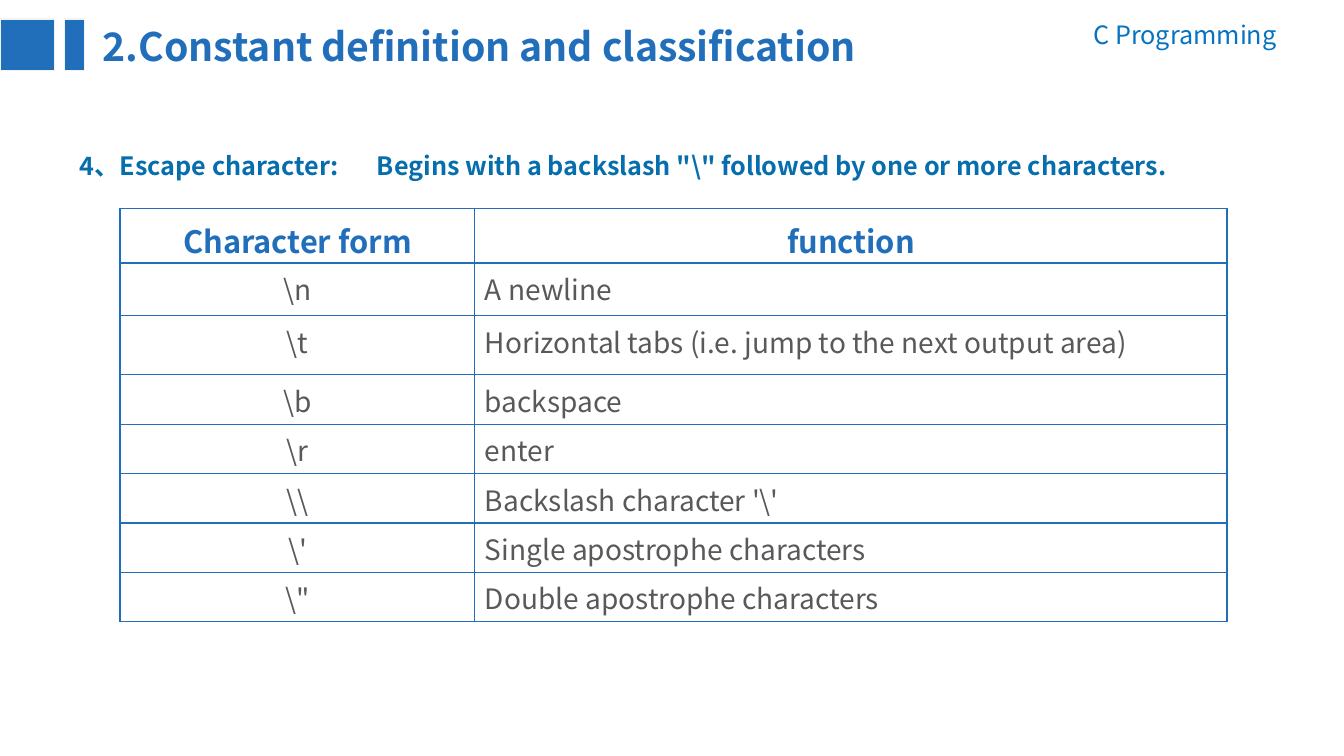
from lxml import etree
from pptx import Presentation
from pptx import util as u
from pptx.dml.color import RGBColor
from pptx.enum import shapes, text
from pptx.oxml.ns import qn

FONT = "Noto Sans CJK SC"
BLUE = RGBColor(0x21, 0x6F, 0xBA)
COURSE_BLUE = RGBColor(0x05, 0x73, 0xC2)
INTRO_BLUE = RGBColor(0x07, 0x6E, 0xAD)
GREY = RGBColor(0x59, 0x59, 0x59)
PALE = RGBColor(0xF2, 0xF2, 0xF2)
LEFT, CENTER, RIGHT = text.PP_ALIGN.LEFT, text.PP_ALIGN.CENTER, text.PP_ALIGN.RIGHT

# wording, (left, top, width, height), size, colour, bold, alignment, line spacing
LABELS = [
    ("C Programming", (9.76, 0.14, 3, 0.4), 18, COURSE_BLUE, False, RIGHT, 1),
    ("2.Constant definition and classification", (0.92, 0.17, 8.81, 0.57),
     28, BLUE, True, LEFT, 1),
    ("4、Escape character:", (0.69, 1.38, 4.02, 0.46), 18, INTRO_BLUE, True, LEFT, 1.2),
    ('Begins with a backslash "\\" followed by one or more characters.',
     (3.64, 1.44, 8.82, 0.4), 18, INTRO_BLUE, True, LEFT, 1),
]
TITLE_BARS = [(0, 0.54), (0.64, 0.2)]  # left, width
HEADER = ("Character form", "function")
ESCAPES = [
    (r"\n", "A newline"),
    (r"\t", "Horizontal tabs (i.e. jump to the next output area)"),
    (r"\b", "backspace"),
    (r"\r", "enter"),
    (r"\\", r"Backslash character '\'"),
    (r"\'", "Single apostrophe characters"),
    (r'\"', "Double apostrophe characters"),
]
COLUMN_WIDTHS = [3.52, 7.46]
ROW_HEIGHTS = [0.54, 0.52, 0.59] + [0.49] * 5


def write(frame, wording, size, color, bold, align, spacing=1):
    """Put one formatted run in the first paragraph of a text frame."""
    paragraph = frame.paragraphs[0]
    paragraph.alignment = align
    if spacing != 1:
        paragraph.line_spacing = spacing
    run = paragraph.add_run()
    run.text = wording
    run.font.size, run.font.bold, run.font.name = u.Pt(size), bold, FONT
    run.font.color.rgb = color
    east_asian = etree.Element(qn("a:ea"), typeface=FONT)
    run.font._element.find(qn("a:latin")).addnext(east_asian)


def outline(cell):
    """Give a cell no fill and a thin blue border on all sides."""
    cell.fill.background()
    properties = cell._tc.get_or_add_tcPr()
    for place, side in enumerate(("lnL", "lnR", "lnT", "lnB")):
        line = etree.Element(qn(f"a:{side}"), w=str(u.Pt(1)))
        fill = etree.SubElement(line, qn("a:solidFill"))
        etree.SubElement(fill, qn("a:srgbClr"), val=str(BLUE))
        properties.insert(place, line)


deck = Presentation()
deck.slide_width, deck.slide_height = u.Inches(13.33), u.Inches(7.5)
slide = deck.slides.add_slide(deck.slide_layouts[6])

for wording, box, *style in LABELS:
    label = slide.shapes.add_textbox(*map(u.Inches, box)).text_frame
    label.word_wrap = True
    label.auto_size = text.MSO_AUTO_SIZE.SHAPE_TO_FIT_TEXT
    write(label, wording, *style)

for left, width in TITLE_BARS:
    bar = slide.shapes.add_shape(shapes.MSO_SHAPE.RECTANGLE,
                                 *map(u.Inches, (left, 0.19, width, 0.51)))
    bar.shadow.inherit = False
    bar.fill.solid()
    bar.fill.fore_color.rgb = BLUE
    bar.line.color.rgb = PALE
    bar.line.width = u.Pt(1)

escape_table = slide.shapes.add_table(
    len(ROW_HEIGHTS), len(COLUMN_WIDTHS),
    *map(u.Inches, (1.19, 2.07, sum(COLUMN_WIDTHS), sum(ROW_HEIGHTS)))).table
escape_table.first_row = escape_table.horz_banding = False
for column, width in zip(escape_table.columns, COLUMN_WIDTHS):
    column.width = u.Inches(width)
for row, height in zip(escape_table.rows, ROW_HEIGHTS):
    row.height = u.Inches(height)

for r, entry in enumerate([HEADER] + ESCAPES):
    for c, wording in enumerate(entry):
        cell = escape_table.cell(r, c)
        outline(cell)
        if r == 0:
            write(cell.text_frame, wording, 22, BLUE, True, CENTER, 1.1)
        else:
            write(cell.text_frame, wording, 20, GREY, False, LEFT if c else CENTER)

deck.save("out.pptx")
